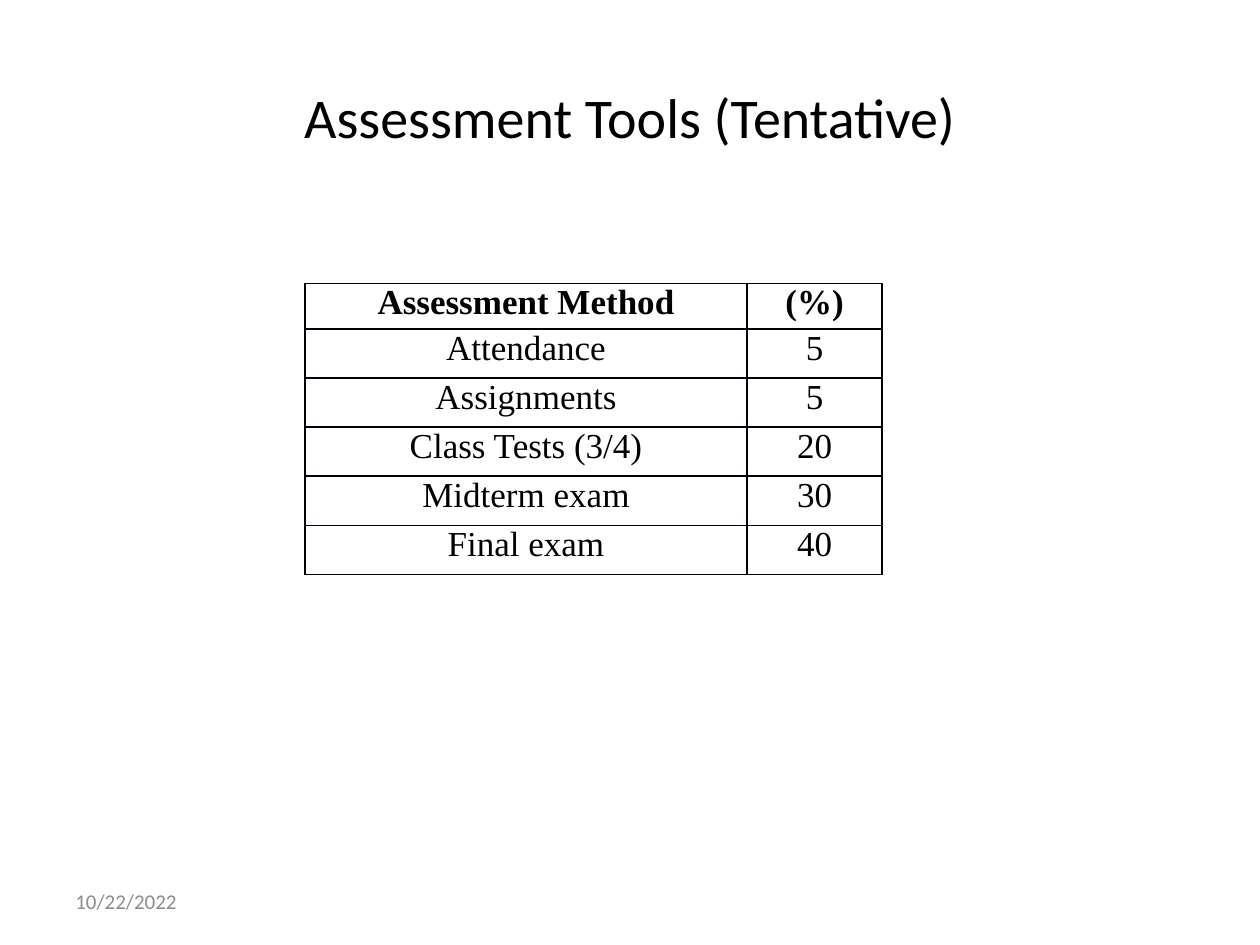
import lxml.etree
import pptx
import pptx.dml.color
import pptx.enum.text
import pptx.oxml.ns
import pptx.util

Inches = pptx.util.Inches
Pt = pptx.util.Pt
ALIGN = pptx.enum.text.PP_ALIGN
ANCHOR = pptx.enum.text.MSO_ANCHOR

COLORS = {"text": "000000", "date": "8C8C8C", "border": "00000A"}

ASSESSMENTS = [
    ("Assessment Method", "(%)"),
    ("Attendance", "5"),
    ("Assignments", "5"),
    ("Class Tests (3/4)", "20"),
    ("Midterm exam", "30"),
    ("Final exam", "40"),
]


class SlideBuilder:
    """Holds the style and the current slide."""

    heading_font = "Calibri"
    table_font = "Times New Roman"

    def __init__(self, slide):
        self.slide = slide

    def add_text(self, frame, text, size, font, color="text", align=ALIGN.LEFT, bold=False):
        paragraph = frame.paragraphs[0]
        paragraph.alignment = align
        run = paragraph.add_run()
        run.text = text
        run.font.size = Pt(size)
        run.font.name = font
        run.font.bold = bold
        run.font.color.rgb = pptx.dml.color.RGBColor.from_string(COLORS[color])

    def title(self, text, left, top, width, height):
        title = self.slide.shapes.title
        title.left, title.top = Inches(left), Inches(top)
        title.width, title.height = Inches(width), Inches(height)
        title.text_frame.vertical_anchor = ANCHOR.MIDDLE
        self.add_text(title.text_frame, text, 32, self.heading_font, align=ALIGN.CENTER)

    def date(self, text, left, top, width, height):
        date = self.slide.shapes.add_textbox(
            Inches(left), Inches(top), Inches(width), Inches(height))
        date.text_frame.word_wrap = True
        date.text_frame.vertical_anchor = ANCHOR.MIDDLE
        self.add_text(date.text_frame, text, 12, self.heading_font, "date")

    def border(self, cell):
        properties = cell._tc.get_or_add_tcPr()
        qn = pptx.oxml.ns.qn
        for side in ("lnL", "lnR", "lnT", "lnB"):
            line = lxml.etree.SubElement(properties, qn(f"a:{side}"), w=str(Pt(1)))
            fill = lxml.etree.SubElement(line, qn("a:solidFill"))
            lxml.etree.SubElement(fill, qn("a:srgbClr"), val=COLORS["border"])

    def table(self, rows, left, top, widths, heights):
        table = self.slide.shapes.add_table(
            len(rows), len(widths), Inches(left), Inches(top),
            Inches(sum(widths)), Inches(sum(heights))).table
        table.horz_banding = False
        for column, width in zip(table.columns, widths):
            column.width = Inches(width)
        for row_index, (values, height) in enumerate(zip(rows, heights)):
            table.rows[row_index].height = Inches(height)
            for column_index, value in enumerate(values):
                cell = table.cell(row_index, column_index)
                cell.margin_left = cell.margin_right = Inches(0.07)
                cell.margin_top = cell.margin_bottom = 0
                self.border(cell)
                cell.fill.background()
                self.add_text(cell.text_frame, value, 20, self.table_font,
                              align=ALIGN.CENTER, bold=row_index == 0)


def main():
    presentation = pptx.Presentation()
    presentation.slide_width, presentation.slide_height = Inches(10), Inches(7.5)
    # Title Only layout
    builder = SlideBuilder(presentation.slides.add_slide(presentation.slide_layouts[5]))

    # Heading
    builder.title("Assessment Tools (Tentative)", 0.5, 0.3, 9, 1.25)

    # Marks distribution: a shorter header above equal rows
    row_heights = [0.36] + [0.39] * (len(ASSESSMENTS) - 1)
    builder.table(ASSESSMENTS, 2.42, 2.25, [3.51, 1.07], row_heights)

    # Footer date
    builder.date("10/22/2022", 0.5, 6.95, 2.33, 0.4)

    presentation.save("out.pptx")


if __name__ == "__main__":
    main()
